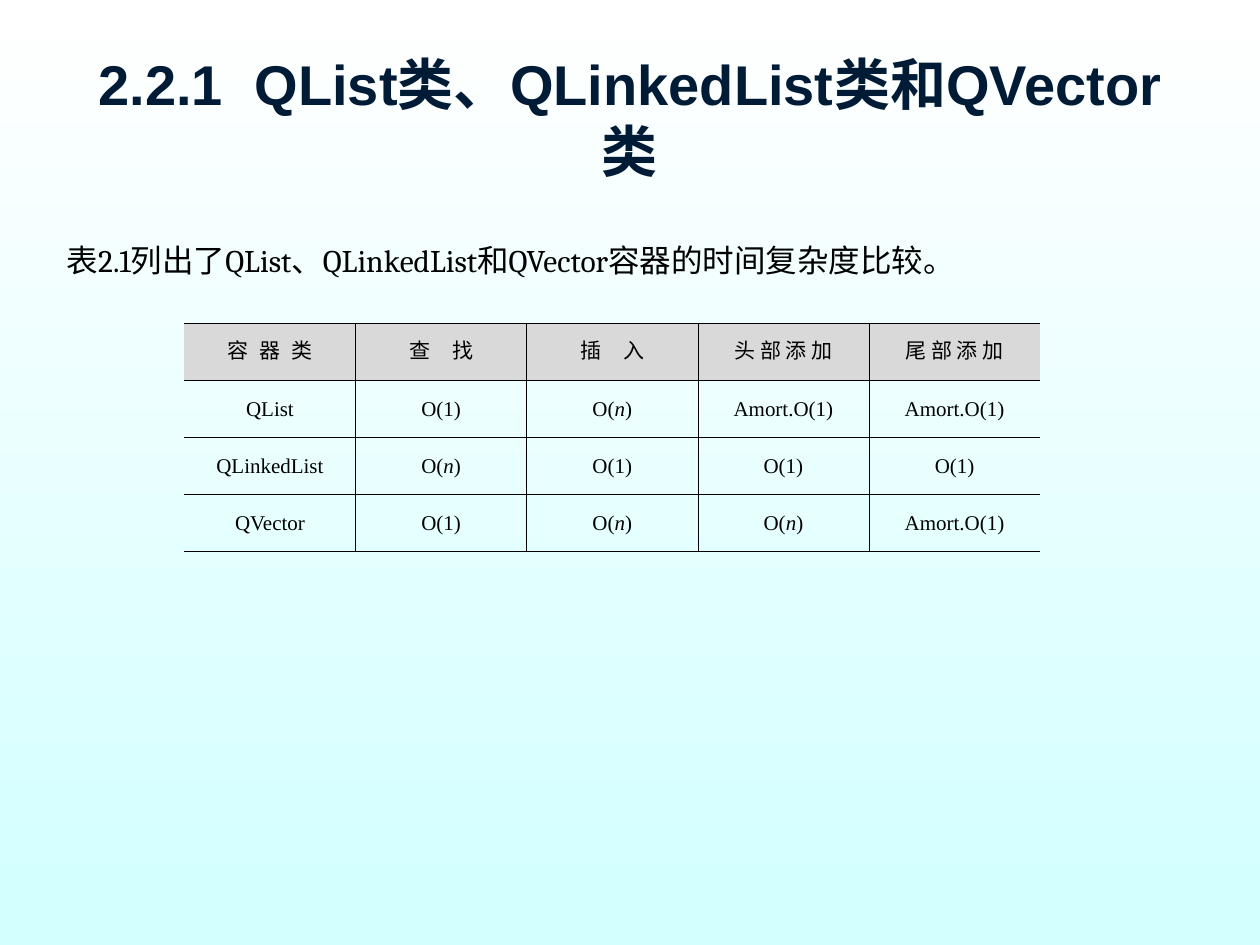
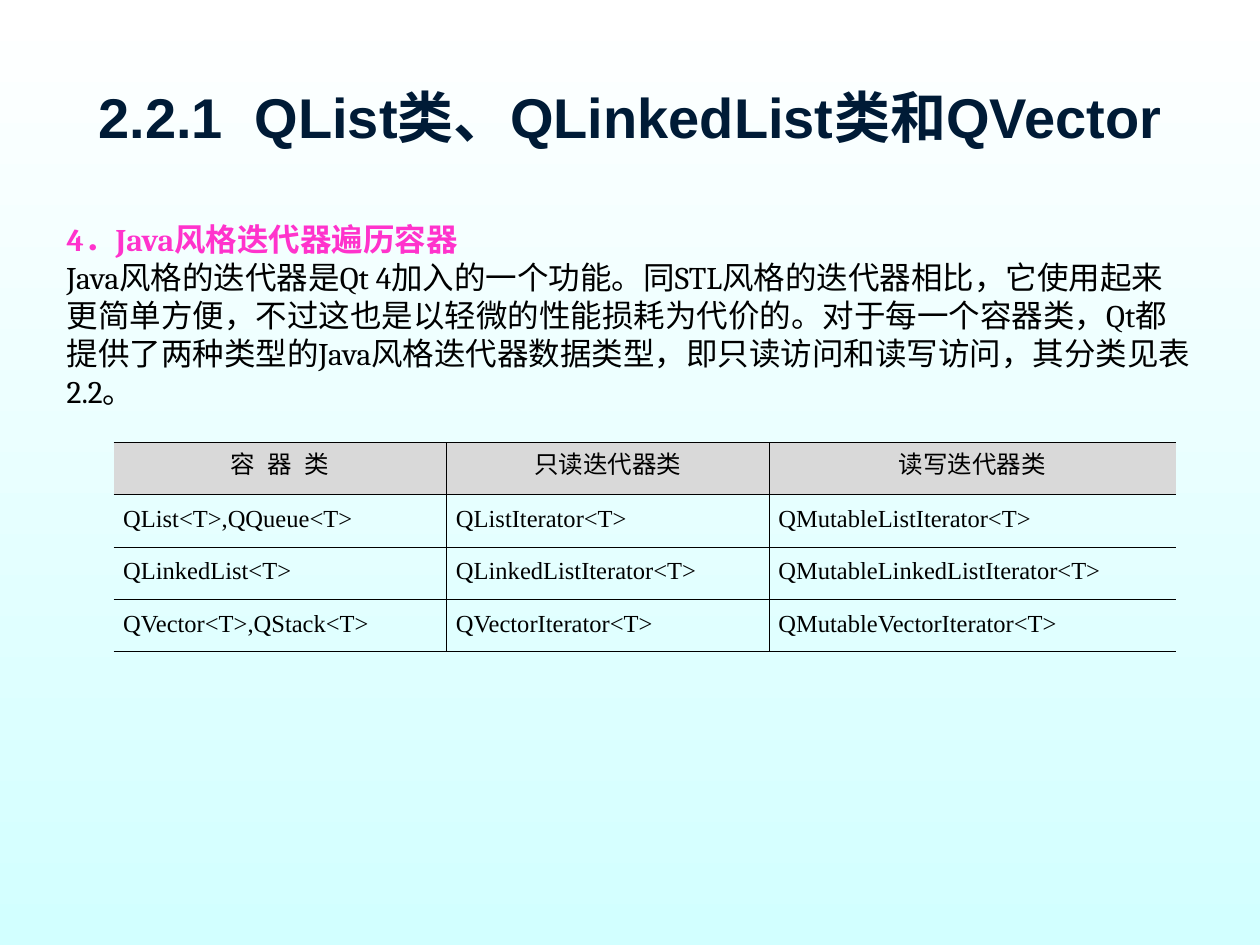
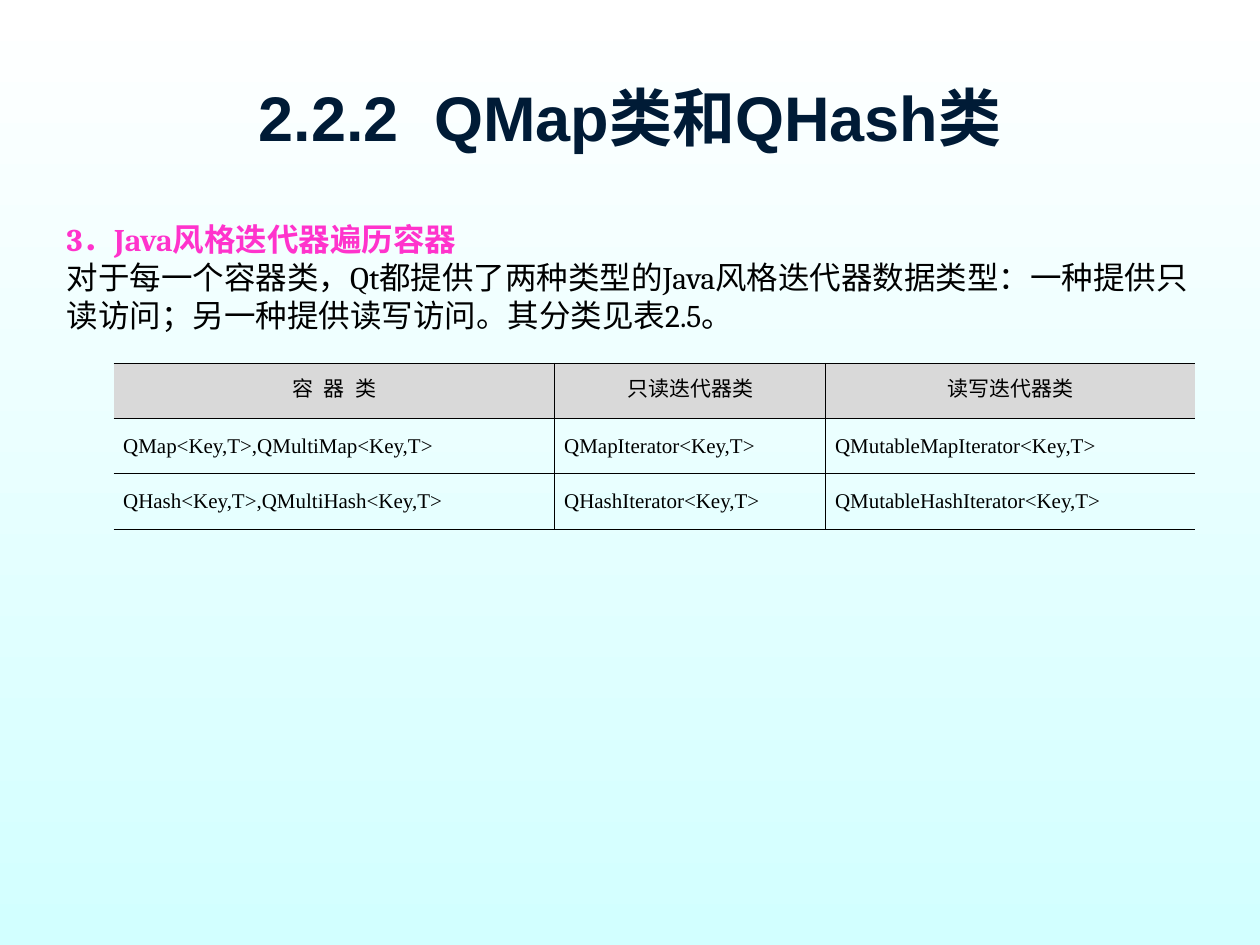
from lxml.etree import SubElement
from pptx import Presentation
from pptx.dml.color import RGBColor as RGB
from pptx.enum.text import MSO_ANCHOR as ANCHOR, PP_ALIGN as ALIGN
from pptx.oxml.ns import qn
from pptx.util import Pt

COLORS = {"top": "FFFFFF", "bottom": "D2FFFF", "title": "001B36",
          "heading": "FF33CC", "text": "000000", "header": "D9D9D9"}
LINE_WIDTH = 0.45
CONTAINER = ("容 器 类", 0.14)  # text, extra letter gap as a share of its size
ITERATORS = [CONTAINER, ("只读迭代器类", 0), ("读写迭代器类", 0)]

SLIDES = [
    {
        "title": ("2.2.1", "QList类、QLinkedList类和QVector类", 32),
        "body": (134, 658, 50),
        "heading": None,
        "text": "表2.1列出了QList、QLinkedList和QVector容器的时间复杂度比较。",
        "table": (105.4, 184.9), "cols": [97.8] * 5, "row": 32.6,
        "size": 12, "align": ALIGN.CENTER,
        "header": [CONTAINER, ("查 找", 0.42), ("插 入", 0.42),
                   ("头 部 添 加", 0), ("尾 部 添 加", 0)],
        "rows": [["QList", "O(1)", "O(n)", "Amort.O(1)", "Amort.O(1)"],
                 ["QLinkedList", "O(n)", "O(1)", "O(1)", "O(1)"],
                 ["QVector", "O(1)", "O(n)", "O(n)", "Amort.O(1)"]],
    },
    {
        "title": ("2.2.1", "QList类、QLinkedList类和QVector", 32),
        "body": (122.4, 658, 137),
        "heading": "4．Java风格迭代器遍历容器",
        "text": "Java风格的迭代器是Qt 4加入的一个功能。同STL风格的迭代器相比，"
                "它使用起来更简单方便，不过这也是以轻微的性能损耗为代价的。"
                "对于每一个容器类，Qt都提供了两种类型的Java风格迭代器数据类型，"
                "即只读访问和读写访问，其分类见表2.2。",
        "table": (65, 252.9), "cols": [190.2, 184.2, 232.5], "row": 29.8,
        "size": 14, "align": ALIGN.JUSTIFY,
        "header": ITERATORS,
        "rows": [["QList<T>,QQueue<T>", "QListIterator<T>", "QMutableListIterator<T>"],
                 ["QLinkedList<T>", "QLinkedListIterator<T>",
                  "QMutableLinkedListIterator<T>"],
                 ["QVector<T>,QStack<T>", "QVectorIterator<T>",
                  "QMutableVectorIterator<T>"]],
    },
    {
        "title": ("2.2.2", "QMap类和QHash类", 36),
        "body": (122.4, 663, 94),
        "heading": "3．Java风格迭代器遍历容器",
        "text": "对于每一个容器类，Qt都提供了两种类型的Java风格迭代器数据类型："
                "一种提供只读访问；另一种提供读写访问。其分类见表2.5。",
        "table": (65, 207.5), "cols": [252, 154.8, 211.3], "row": 31.6,
        "size": 12, "align": ALIGN.JUSTIFY,
        "header": ITERATORS,
        "rows": [["QMap<Key,T>,QMultiMap<Key,T>", "QMapIterator<Key,T>",
                  "QMutableMapIterator<Key,T>"],
                 ["QHash<Key,T>,QMultiHash<Key,T>", "QHashIterator<Key,T>",
                  "QMutableHashIterator<Key,T>"]],
    },
]


def write(p, parts, font, size, color, bold=False):
    """Fill a paragraph with (text, letter gap in points, italic) runs."""
    f = p.font
    f.name, f.size, f.bold = font, Pt(size), bold
    f.color.rgb = RGB.from_string(COLORS[color])
    for text, gap, italic in parts:
        r = p.add_run()
        r.text = text
        if gap:
            r.font._element.set("spc", str(round(gap * 100)))
        if italic:
            r.font.italic = True


def set_borders(cell, sides):
    """Draw the named sides of a cell and clear the others."""
    tcPr = cell._tc.get_or_add_tcPr()
    for i, side in enumerate("LRTB"):
        ln = SubElement(tcPr, qn(f"a:ln{side}"), w=str(Pt(LINE_WIDTH)))
        if side in sides:
            fill = SubElement(ln, qn("a:solidFill"))
            SubElement(fill, qn("a:srgbClr"), val=COLORS["text"])
        else:
            SubElement(ln, qn("a:noFill"))
        tcPr.insert(i, ln)


prs = Presentation()
prs.slide_width, prs.slide_height = Pt(720), Pt(540)

# Shared background
fill = prs.slide_master.background.fill
fill.gradient()
fill.gradient_angle = 270
for stop, name, position in zip(fill.gradient_stops, ("top", "bottom"), (0, 1)):
    stop.color.rgb = RGB.from_string(COLORS[name])
    stop.position = position

for data in SLIDES:
    s = prs.slides.add_slide(prs.slide_layouts[6])

    # Title
    number, name, size = data["title"]
    tf = s.shapes.add_textbox(Pt(36), Pt(21.6), Pt(648), Pt(90)).text_frame
    tf.word_wrap = True
    tf.vertical_anchor = ANCHOR.MIDDLE
    p = tf.paragraphs[0]
    p.alignment = ALIGN.CENTER
    write(p, [(number, 0, False), (" ", size * 0.28, False), (name, 0, False)],
          "Arial", size, "title", True)

    # Heading and text
    top, width, height = data["body"]
    tf = s.shapes.add_textbox(Pt(31), Pt(top), Pt(width), Pt(height)).text_frame
    tf.word_wrap = True
    p = tf.paragraphs[0]
    if data["heading"]:
        write(p, [(data["heading"], 0, False)], "Cambria", 18, "heading", True)
        p = tf.add_paragraph()
    write(p, [(data["text"], 0, False)], "Cambria", 18, "text")

    # Table
    left, top = data["table"]
    cols, rows, size = data["cols"], [data["header"]] + data["rows"], data["size"]
    table = s.shapes.add_table(len(rows), len(cols), Pt(left), Pt(top), Pt(sum(cols)),
                               Pt(data["row"] * len(rows))).table
    table.first_row = table.horz_banding = False
    for column, width in zip(table.columns, cols):
        column.width = Pt(width)
    for i, row in enumerate(rows):
        table.rows[i].height = Pt(data["row"])
        for j, value in enumerate(row):
            cell = table.cell(i, j)
            cell.vertical_anchor = ANCHOR.MIDDLE
            cell.margin_left = cell.margin_right = Pt(5.4)
            p = cell.text_frame.paragraphs[0]
            p.line_spacing = Pt(14)
            if i == 0:
                cell.fill.solid()
                cell.fill.fore_color.rgb = RGB.from_string(COLORS["header"])
                text, gap = value
                p.alignment = ALIGN.CENTER
                parts = [(text, 0, False)]
                if gap:
                    parts = [(text[:-1], gap * size, False), (text[-1], 0, False)]
                write(p, parts, "Arial", size, "text")
            else:
                cell.fill.background()
                p.alignment = data["align"]
                parts = [(value, 0, False)]
                if value == "O(n)":
                    parts = [("O(", 0, False), ("n", 0, True), (")", 0, False)]
                write(p, parts, "Times New Roman", size, "text")
            sides = "TB" + "L" * (j > 0) + "R" * (j < len(cols) - 1)
            set_borders(cell, sides)

prs.save("out.pptx")
